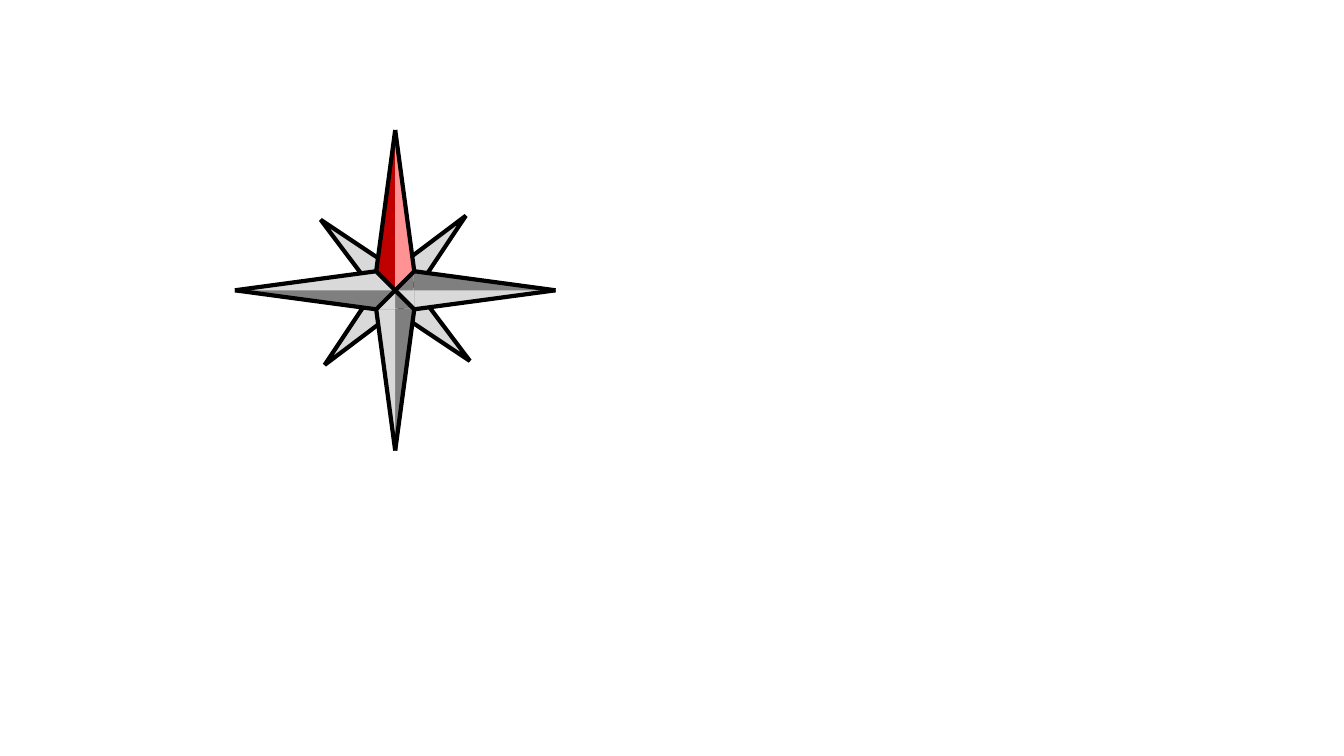
from lxml.etree import SubElement
from pptx import Presentation
from pptx.dml.color import RGBColor
from pptx.enum.shapes import MSO_CONNECTOR
from pptx.oxml.ns import qn
from pptx.util import Inches, Pt

CELL = Inches(0.01)
COLUMNS, ROWS = 1333, 750
CENTRE = (392, 288)

BLACK = RGBColor(0x00, 0x00, 0x00)
LIGHT_GREY = RGBColor(0xD9, 0xD9, 0xD9)
DARK_GREY = RGBColor(0x7F, 0x7F, 0x7F)
RED = RGBColor(0xC0, 0x00, 0x00)
PINK = RGBColor(0xFF, 0x93, 0x93)

DARK_SIDES = [RED, DARK_GREY, DARK_GREY, DARK_GREY]
LIGHT_SIDES = [PINK, LIGHT_GREY, LIGHT_GREY, LIGHT_GREY]

MINOR_RAY = [(-22, -1), (-74, -70), (-2, -22)]
DARK_SPIKE = [(-18, -18), (0, -159), (18, -18)]
DARK_BASE = [(-18, -18), (0, 0), (18, -18)]
LIGHT_SPIKE = [(0, -19), (0, -155), (18, -19)]
LIGHT_BASE = [(0, -19), (0, 0), (18, -19)]
TIP = (0, -159)
SHOULDERS = [(-19, -18), (19, -18)]
CROSS = [[(20, -20), (-20, 20)], [(-20, -20), (20, 20)]]


def place(points, turns=0):
    for _ in range(turns):
        points = [(-y, x) for x, y in points]
    return [((CENTRE[0] + x) * CELL, (CENTRE[1] + y) * CELL) for x, y in points]


def set_outline(line):
    line.color.rgb = BLACK
    line.width = Pt(3)


def add_facet(s, points, turns, fill, outlined=False):
    start, *others = place(points, turns)
    builder = s.shapes.build_freeform(*start)
    builder.add_line_segments(others, close=True)
    sp = builder.convert_to_shape()
    sp.shadow.inherit = False
    sp.fill.solid()
    sp.fill.fore_color.rgb = fill
    if outlined:
        set_outline(sp.line)
        SubElement(sp.line._get_or_add_ln(), qn("a:miter"), lim="800000")
    else:
        sp.line.fill.background()


def add_edge(s, points, turns=0):
    start, end = place(points, turns)
    edge = s.shapes.add_connector(MSO_CONNECTOR.STRAIGHT, *start, *end)
    set_outline(edge.line)
    SubElement(edge._element.spPr, qn("a:effectLst"))


def add_sides(s, spike, base, fills):
    for outline in (spike, base):
        for turns, fill in enumerate(fills):
            add_facet(s, outline, turns, fill)


def add_compass(s):
    for turns in range(4):
        add_facet(s, MINOR_RAY, turns, LIGHT_GREY, outlined=True)
    add_sides(s, DARK_SPIKE, DARK_BASE, DARK_SIDES)
    add_sides(s, LIGHT_SPIKE, LIGHT_BASE, LIGHT_SIDES)
    for diagonal in CROSS:
        add_edge(s, diagonal)
    for turns in range(4):
        for shoulder in SHOULDERS:
            add_edge(s, [TIP, shoulder], turns)


def main():
    prs = Presentation()
    prs.slide_width = COLUMNS * CELL
    prs.slide_height = ROWS * CELL
    s = prs.slides.add_slide(prs.slide_layouts[6])
    add_compass(s)
    prs.save("out.pptx")


if __name__ == "__main__":
    main()
